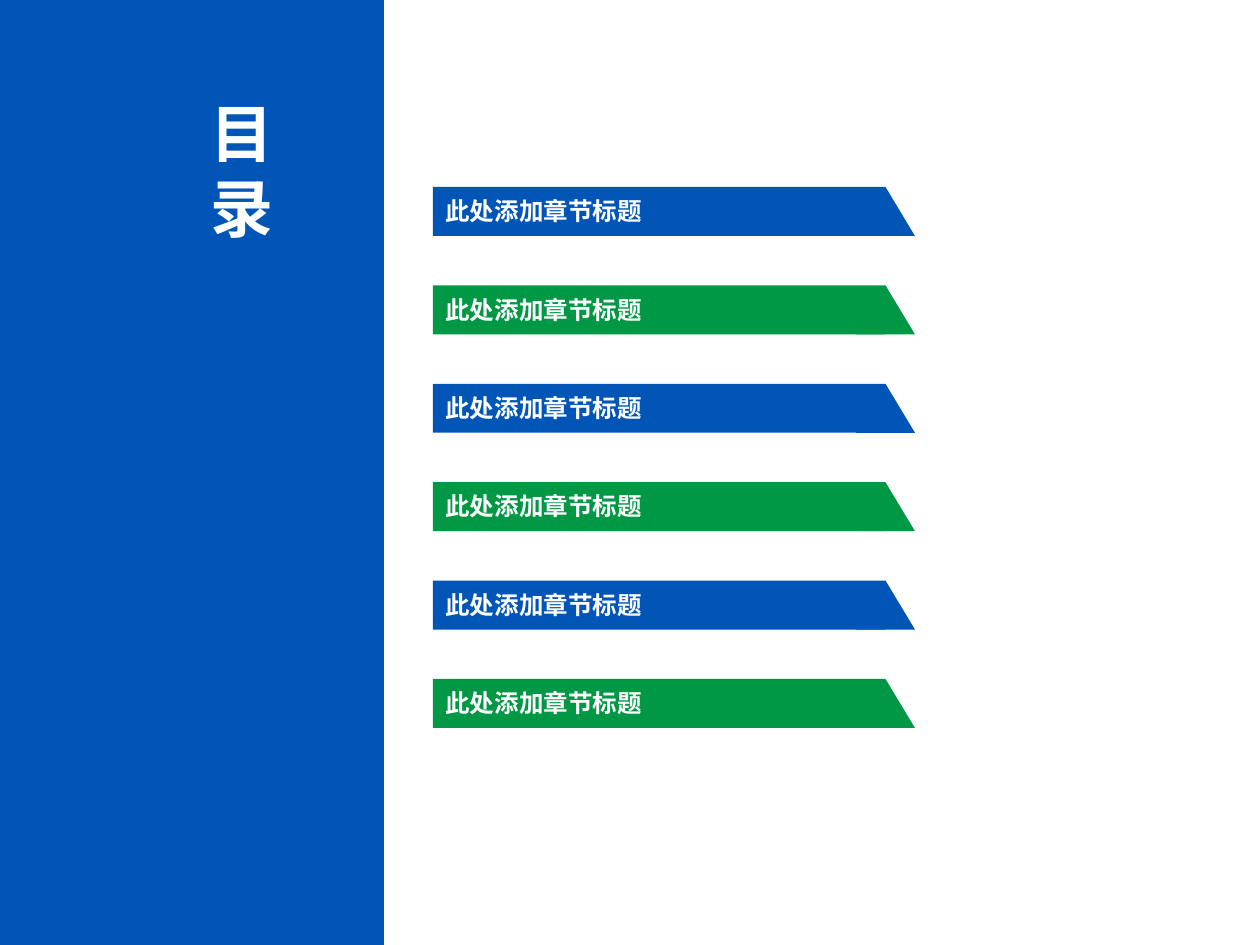
from dataclasses import dataclass

from lxml.etree import SubElement
from pptx import Presentation
from pptx.dml.color import RGBColor
from pptx.enum.shapes import MSO_SHAPE
from pptx.enum.text import MSO_ANCHOR, MSO_AUTO_SIZE, PP_ALIGN
from pptx.oxml.ns import qn
from pptx.util import Pt

SCALE = 914400 / 126  # EMU in one px


@dataclass(frozen=True)
class Theme:
    blue: str = "0055B7"
    green: str = "009844"
    white: str = "FFFFFF"
    font: str = "Noto Sans CJK SC"
    title: int = 36
    entry: int = 14


THEME = Theme()
ENTRIES = ["此处添加章节标题"] * 6


def px(*values):
    return [round(v * SCALE) for v in values]


def block(shapes, kind, box, color):
    """Add a plain filled shape."""
    shape = shapes.add_shape(kind, *px(*box))
    shape.shadow.inherit = False
    shape.fill.solid()
    shape.fill.fore_color.rgb = RGBColor.from_string(color)
    shape.line.fill.background()
    return shape


def write(shape, text, *, size, color=THEME.white, bold=True, wrap=True):
    """Put formatted text into a text box or placeholder."""
    frame = shape.text_frame
    frame.text = text
    frame.word_wrap = wrap
    frame.auto_size = MSO_AUTO_SIZE.NONE
    frame.vertical_anchor = MSO_ANCHOR.TOP
    para = frame.paragraphs[0]
    para.alignment = PP_ALIGN.LEFT
    run = para.runs[0]
    font = run.font
    font.size, font.bold, font.name = Pt(size), bold, THEME.font
    font.color.rgb = RGBColor.from_string(color)
    # East Asian typeface
    SubElement(run.font._element, qn("a:ea"), typeface=THEME.font)


def panel(slide, box):
    """Side panel with the slide title."""
    left, top, _, _ = box
    block(slide.shapes, MSO_SHAPE.RECTANGLE, box, THEME.blue)
    title = slide.shapes.title
    title.left, title.top, title.width, title.height = px(left + 198, top + 88, 151, 88)
    write(title, "目录", size=THEME.title, wrap=False)
    slide.shapes._spTree.append(title._element)  # bring in front of the panel


def banner(slide, box, text, color):
    """One entry: a bar with a slanted end and its label."""
    left, top, width, height = box
    slant = 59
    parts = slide.shapes.add_group_shape().shapes
    bar = (left, top, width - slant / 2, height)
    tip = (left + width - slant, top, slant, height)
    block(parts, MSO_SHAPE.RECTANGLE, bar, color)
    block(parts, MSO_SHAPE.ISOSCELES_TRIANGLE, tip, color)
    label = parts.add_textbox(*px(left, top + 3, 344, height - 6))
    write(label, text, size=THEME.entry)


def agenda(slide, box):
    """Evenly spaced entries in alternating colours."""
    left, top, width, height = box
    bar = 49
    step = (height - bar) / (len(ENTRIES) - 1)
    for i, text in enumerate(ENTRIES):
        color = (THEME.blue, THEME.green)[i % 2]
        banner(slide, (left, top + i * step, width, bar), text, color)


def main():
    deck = Presentation()
    deck.slide_width, deck.slide_height = px(1260, 945)
    slide = deck.slides.add_slide(deck.slide_layouts[5])  # Title Only
    panel(slide, (0, 0, 384, 945))
    agenda(slide, (433, 187, 482, 541))
    deck.save("out.pptx")


if __name__ == "__main__":
    main()
